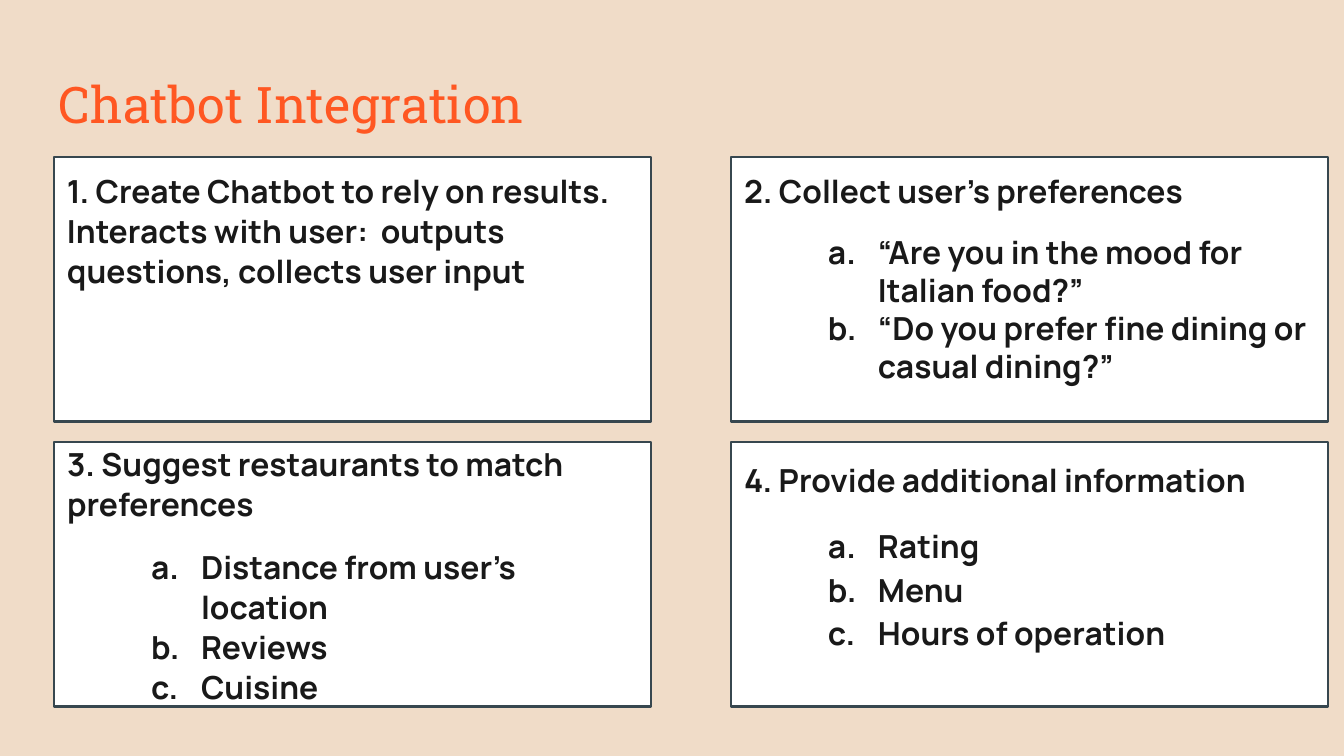
from dataclasses import dataclass

from lxml.etree import SubElement
from pptx import Presentation
from pptx.dml.color import RGBColor
from pptx.enum.shapes import MSO_SHAPE as Shape
from pptx.enum.text import MSO_ANCHOR as Anchor, MSO_AUTO_SIZE as AutoSize, PP_ALIGN as Align
from pptx.oxml.ns import qn
from pptx.util import Emu, Pt

SCALE = 914400 / 134.4


def px(length):
    return Emu(round(length * SCALE))


@dataclass(frozen=True)
class Theme:
    background: str = "F0DCC8"
    card: str = "FFFFFF"
    border: str = "37474F"
    title: str = "FF5722"
    text: str = "191919"
    title_font: str = "Roboto Slab"
    text_font: str = "Manrope"
    title_size: int = 27
    text_size: int = 17
    border_width: float = 1.5
    list_gap: int = 12
    inset: int = 13
    list_indent: int = 134
    hanging: int = 50


def set_marker(para, color=None, indent=0, hanging=0):
    """Letter the paragraph when a color is given; otherwise remove its bullet."""
    props = para._p.get_or_add_pPr()
    props.set("marL", str(px(indent)))
    props.set("indent", str(-px(hanging)))
    if color:
        bullet_color = SubElement(props, qn("a:buClr"))
        SubElement(bullet_color, qn("a:srgbClr")).set("val", color)
        SubElement(props, qn("a:buAutoNum")).set("type", "alphaLcPeriod")
    else:
        SubElement(props, qn("a:buNone"))


def write(para, text, *, font, size, color, bold=False, spacing=1.0, before=0):
    para.alignment = Align.LEFT
    para.line_spacing = spacing
    para.space_before = Pt(before)
    para.space_after = Pt(0)
    span = para.add_run()
    span.text = text
    span.font.name = font
    span.font.size = Pt(size)
    span.font.bold = bold
    span.font.color.rgb = RGBColor.from_string(color)


class SlideBuilder:
    def __init__(self, deck, theme):
        self.theme = theme
        self.slide = deck.slides.add_slide(deck.slide_layouts[1])
        fill = self.slide.background.fill
        fill.solid()
        fill.fore_color.rgb = RGBColor.from_string(theme.background)

    def card(self, left, top, width, height):
        card = self.slide.shapes.add_shape(
            Shape.RECTANGLE, px(left), px(top), px(width), px(height))
        card.shadow.inherit = False
        card.fill.solid()
        card.fill.fore_color.rgb = RGBColor.from_string(self.theme.card)
        card.line.color.rgb = RGBColor.from_string(self.theme.border)
        card.line.width = Pt(self.theme.border_width)

    def place(self, box, bounds, auto_size=AutoSize.NONE):
        """Bring a text box to the front, position it and return its frame."""
        box.element.getparent().append(box.element)
        box.left, box.top, box.width, box.height = map(px, bounds)
        frame = box.text_frame
        frame.word_wrap = True
        frame.auto_size = auto_size
        frame.vertical_anchor = Anchor.TOP
        inset = px(self.theme.inset)
        frame.margin_left = frame.margin_right = inset
        frame.margin_top = frame.margin_bottom = inset
        return frame

    def title(self, text, bounds):
        theme = self.theme
        frame = self.place(self.slide.shapes.title, bounds)
        write(frame.paragraphs[0], text, font=theme.title_font,
              size=theme.title_size, color=theme.title)

    def step(self, heading, items, bounds, spacing, body=False, grow=False):
        theme = self.theme
        if body:
            box = self.slide.placeholders[1]
        else:
            box = self.slide.shapes.add_textbox(*map(px, bounds))
        auto_size = AutoSize.SHAPE_TO_FIT_TEXT if grow else AutoSize.NONE
        frame = self.place(box, bounds, auto_size)
        style = dict(font=theme.text_font, size=theme.text_size,
                     color=theme.text, bold=True, spacing=spacing)
        para = frame.paragraphs[0]
        set_marker(para)
        write(para, heading, **style)
        for index, item in enumerate(items):
            para = frame.add_paragraph()
            para.level = 1
            set_marker(para, theme.text, theme.list_indent, theme.hanging)
            write(para, item, before=0 if index else theme.list_gap, **style)


def main():
    deck = Presentation()
    deck.slide_width, deck.slide_height = px(1344), px(756)
    page = SlideBuilder(deck, Theme())

    columns, rows = (54, 731), (157, 442)
    card_width, card_height = 597, 265
    for top in rows:
        for left in columns:
            page.card(left, top, card_width, card_height)

    page.title("Chatbot Integration", (46, 60, 1253, 85))
    page.step("3. Suggest restaurants to match preferences",
              ["Distance from user’s location", "Reviews", "Cuisine"],
              (columns[0], 430, 587, card_height), 1.05, body=True)
    page.step("2. Collect user’s preferences",
              ["“Are you in the mood for Italian food?”",
               "“Do you prefer fine dining or casual dining?”"],
              (columns[1], 159, card_width, 241), 1.0)
    page.step("4. Provide additional information",
              ["Rating", "Menu", "Hours of operation"],
              (columns[1], rows[1], card_width, 220), 1.15, grow=True)
    page.step("1. Create Chatbot to rely on results. "
              "Interacts with user:  outputs questions, collects user input",
              [], (columns[0], rows[0], 610, 203), 1.05, grow=True)
    deck.save("out.pptx")


if __name__ == "__main__":
    main()
